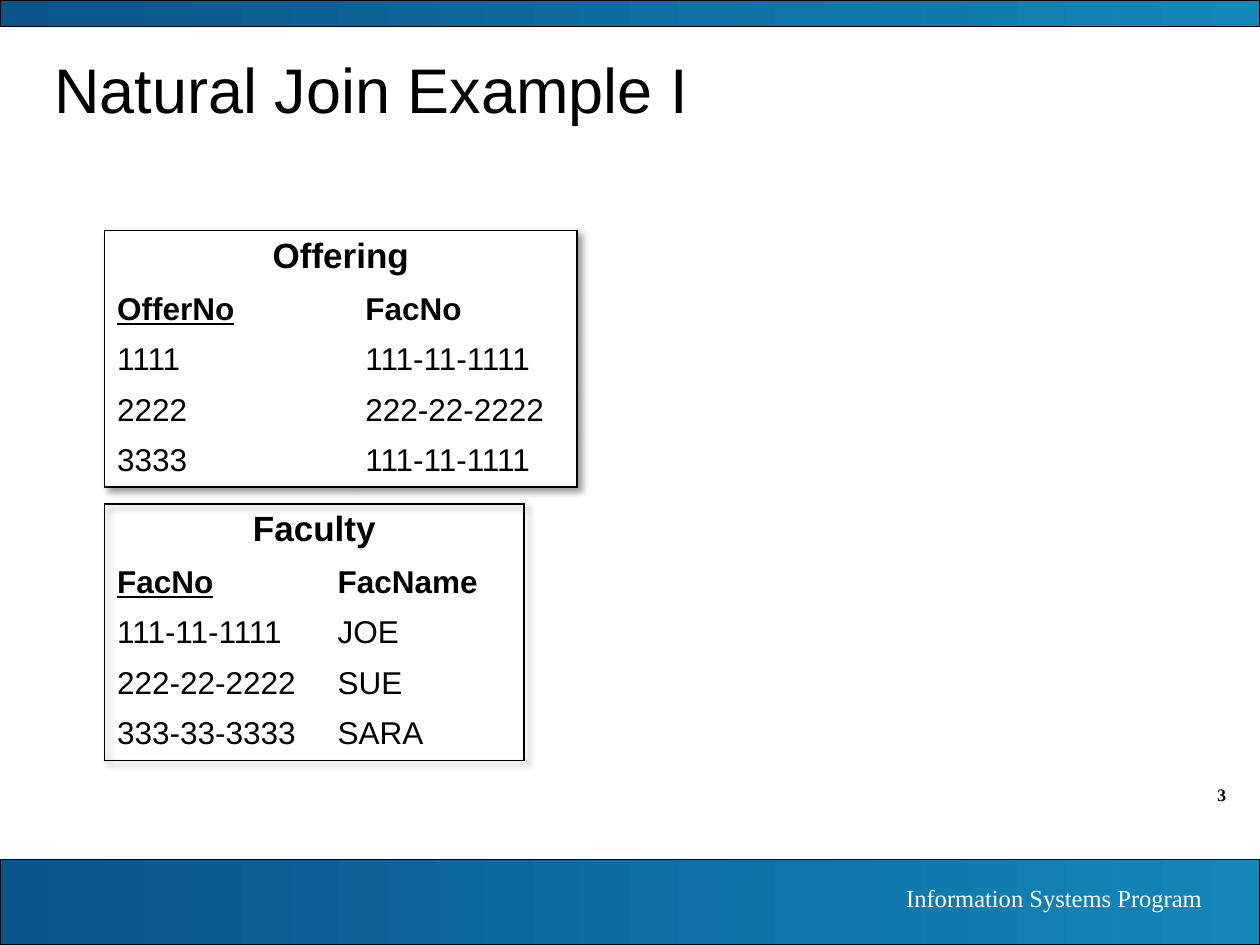
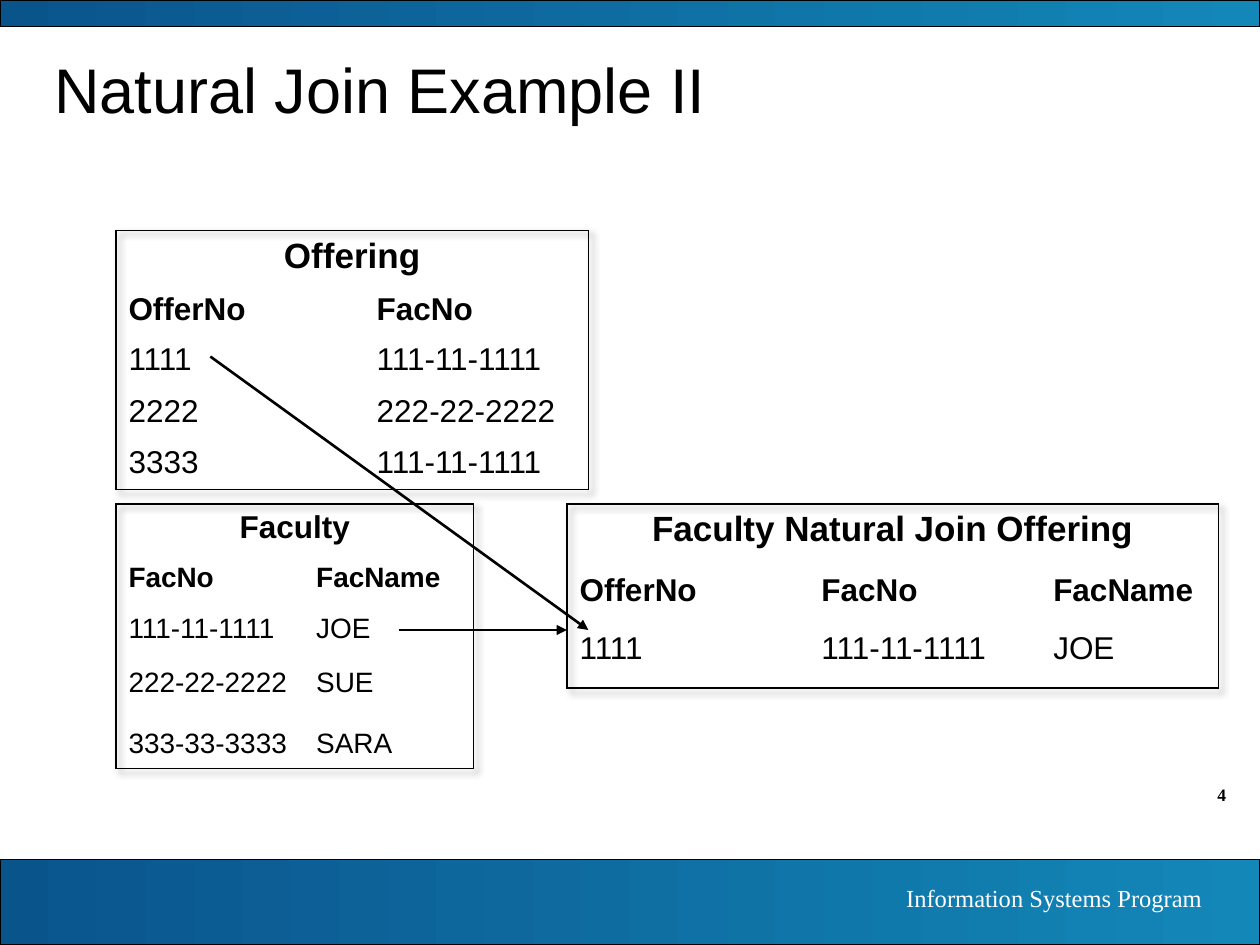
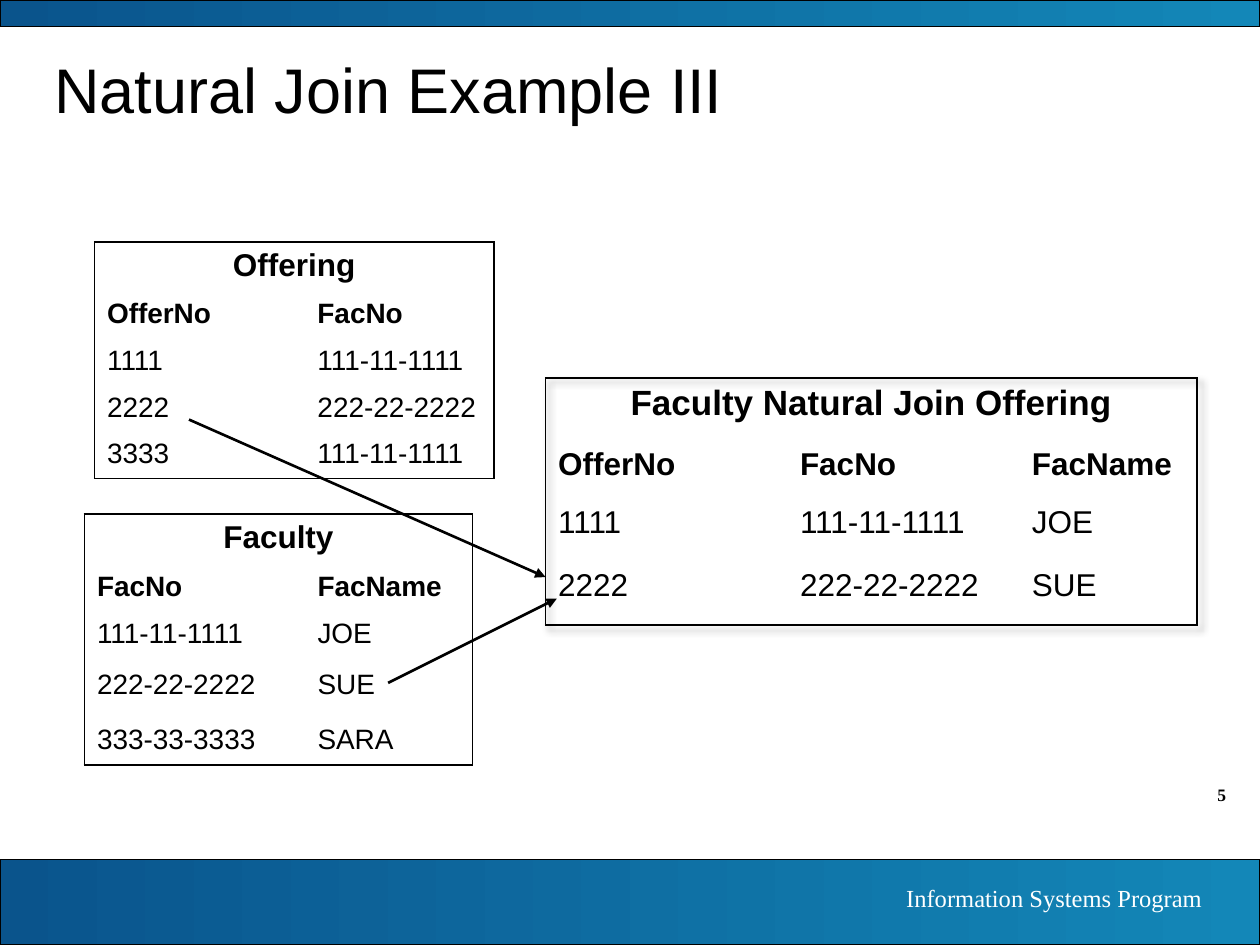
"""Build three slides that step through a natural join of Offering and Faculty."""
from lxml import etree
from pptx import Presentation
from pptx.dml.color import RGBColor
from pptx.enum.shapes import MSO_CONNECTOR, MSO_SHAPE
from pptx.enum.text import MSO_ANCHOR, MSO_AUTO_SIZE, PP_ALIGN
from pptx.oxml import parse_xml
from pptx.oxml.ns import nsdecls, qn
from pptx.util import Inches, Pt

LEFT, CENTER, RIGHT = PP_ALIGN.LEFT, PP_ALIGN.CENTER, PP_ALIGN.RIGHT
MIDDLE, NO_AUTOFIT = MSO_ANCHOR.MIDDLE, MSO_AUTO_SIZE.NONE
RECTANGLE, STRAIGHT = MSO_SHAPE.RECTANGLE, MSO_CONNECTOR.STRAIGHT

BLACK, WHITE, DEEP_BLUE, BRIGHT_BLUE = "000000", "FFFFFF", "0A548C", "1387B8"
SANS, SERIF = "Arial", "Times New Roman"
NO_STYLE = "{2D5ABB26-0587-4C30-8999-92F81FD0307C}"
SHADOW = (
    f'<a:effectLst {nsdecls("a")}><a:outerShdw blurRad="50800" dist="38100" dir="2700000" '
    f'algn="tl" rotWithShape="0"><a:srgbClr val="{BLACK}"><a:alpha val="40000"/></a:srgbClr>'
    "</a:outerShdw></a:effectLst>"
)

OFFERING = [("OfferNo", "FacNo"), ("1111", "111-11-1111"),
            ("2222", "222-22-2222"), ("3333", "111-11-1111")]
FACULTY = [("FacNo", "FacName"), ("111-11-1111", "JOE"),
           ("222-22-2222", "SUE"), ("333-33-3333", "SARA")]
JOINED = [("OfferNo", "FacNo", "FacName"), ("1111", "111-11-1111", "JOE"),
          ("2222", "222-22-2222", "SUE")]
JOIN_NAME, JOIN_WIDTHS = "Faculty Natural Join Offering", [1.92, 1.84, 1.41]

# Each relation: name, rows, left, top, column widths, row heights, name size, options
SLIDES = [
    ("Natural Join Example I", [
        ("Faculty", FACULTY, 0.83, 4, [1.75, 1.58], [0.43] + [0.4] * 4, 20,
         {"shadow", "key"}),
        ("Offering", OFFERING, 0.83, 1.83, [1.97, 1.78], [0.43] + [0.4] * 4, 20,
         {"shadow", "key", "filled"}),
    ], []),
    ("Natural Join Example II", [
        ("Faculty", FACULTY, 0.92, 4, [1.49, 1.35], [0.41, 0.41, 0.43, 0.48, 0.37], 18,
         {"shadow"}),
        ("Offering", OFFERING, 0.92, 1.83, [1.97, 1.78], [0.43, 0.4, 0.41, 0.41, 0.4], 20,
         {"shadow"}),
        (JOIN_NAME, JOINED[:2], 4.5, 4, JOIN_WIDTHS, [0.5, 0.46, 0.5], 20, {"shadow"}),
    ], [(3.17, 5, 4.5, 5), (1.67, 2.83, 4.67, 5)]),
    ("Natural Join Example III", [
        ("Faculty", FACULTY, 0.67, 4.08, [1.75, 1.33], [0.4, 0.38, 0.4, 0.44, 0.37], 18, set()),
        ("Offering", OFFERING, 0.75, 1.92, [1.67, 1.5], [0.4] + [0.37] * 4, 18, set()),
        (JOIN_NAME, JOINED, 4.33, 3, JOIN_WIDTHS, [0.5, 0.46, 0.5, 0.5], 20, {"shadow"}),
    ], [(1.5, 3.33, 4.33, 4.58), (3.08, 5.42, 4.42, 4.75)]),
]


def write(frame, text, size, font=SANS, colour=BLACK, bold=False, align=LEFT):
    frame.word_wrap = True
    paragraph = frame.paragraphs[0]
    paragraph.text = text
    paragraph.alignment = align
    paragraph.font.name = font
    paragraph.font.size = Pt(size)
    paragraph.font.bold = bold
    paragraph.font.color.rgb = RGBColor.from_string(colour)


def add_relation(slide, name, rows, left, top, widths, heights, name_size, options):
    relation = slide.shapes.add_table(
        len(heights), len(widths), Inches(left), Inches(top),
        Inches(sum(widths)), Inches(sum(heights))).table
    relation.first_row = relation.horz_banding = False
    properties = relation._tbl.tblPr
    properties.find(qn("a:tableStyleId")).text = NO_STYLE
    if "shadow" in options:
        properties.insert(0, parse_xml(SHADOW))
    for column, width in zip(relation.columns, widths):
        column.width = Inches(width)
    for row, height in zip(relation.rows, heights):
        row.height = Inches(height)
    relation.cell(0, 0).merge(relation.cell(0, len(widths) - 1))
    write(relation.cell(0, 0).text_frame, name, name_size, bold=True, align=CENTER)

    for r in range(len(heights)):
        for c in range(len(widths)):
            cell = relation.cell(r, c)
            if r > 0:
                write(cell.text_frame, rows[r - 1][c], name_size - 2, bold=r == 1)
            if (r, c) == (1, 0) and "key" in options:
                cell.text_frame.paragraphs[0].font.underline = True
            outer_edges = [("a:lnL", c == 0), ("a:lnR", r == 0 or c == len(widths) - 1),
                           ("a:lnT", r == 0), ("a:lnB", r == len(heights) - 1)]
            for edge, is_outer in outer_edges:
                if is_outer:
                    border = etree.SubElement(
                        cell._tc.get_or_add_tcPr(), qn(edge), w=str(Pt(1)))
                    ink = etree.SubElement(border, qn("a:solidFill"))
                    etree.SubElement(ink, qn("a:srgbClr"), val=BLACK)
            if "filled" in options:
                cell.fill.solid()
                cell.fill.fore_color.rgb = RGBColor.from_string(WHITE)
            else:
                cell.fill.background()


prs = Presentation()
prs.slide_width, prs.slide_height = Inches(10), Inches(7.5)
layout = prs.slide_layouts[5]
layout_title = layout.placeholders[0]
layout_title.left, layout_title.top = Inches(0.33), Inches(0.33)
layout_title.width, layout_title.height = Inches(9.17), Inches(0.75)

slides = [prs.slides.add_slide(layout) for _ in SLIDES]

shared = []
for band_top, band_height in [(6.82, 0.68), (0, 0.21)]:
    band = slides[0].shapes.add_shape(
        RECTANGLE, 0, Inches(band_top), prs.slide_width, Inches(band_height))
    band.shadow.inherit = False
    band.fill.gradient()
    band.fill.gradient_angle = 0
    for stop, colour in zip(band.fill.gradient_stops, [DEEP_BLUE, BRIGHT_BLUE]):
        stop.color.rgb = RGBColor.from_string(colour)
    band.line.color.rgb = RGBColor.from_string(BLACK)
    band.line.width = Pt(0.75)
    shared.append(band)
program = slides[0].shapes.add_textbox(Inches(5.55), Inches(6.96), Inches(4.09), Inches(0.34))
write(program.text_frame, "Information Systems Program", 14, SERIF, WHITE, align=RIGHT)
shared.append(program)
for part in shared:
    layout.shapes.element.append(part.element)

for number, (slide, (heading, relations, arrows)) in enumerate(zip(slides, SLIDES), start=3):
    title = slide.shapes.title.text_frame
    write(title, heading, 36)
    title.vertical_anchor = MIDDLE
    title.auto_size = NO_AUTOFIT
    page_number = slide.shapes.add_textbox(Inches(9), Inches(6.17), Inches(0.83), Inches(0.27))
    write(page_number.text_frame, str(number), 10, SERIF, bold=True, align=RIGHT)
    for relation_details in relations:
        add_relation(slide, *relation_details)
    for ends in arrows:
        arrow = slide.shapes.add_connector(STRAIGHT, *[Inches(end) for end in ends])
        arrow.line.color.rgb = RGBColor.from_string(BLACK)
        arrow.line.width = Pt(1.5)
        etree.SubElement(arrow.line._get_or_add_ln(), qn("a:tailEnd"), type="triangle")
        etree.SubElement(arrow.element.spPr, qn("a:effectLst"))

prs.save("out.pptx")
